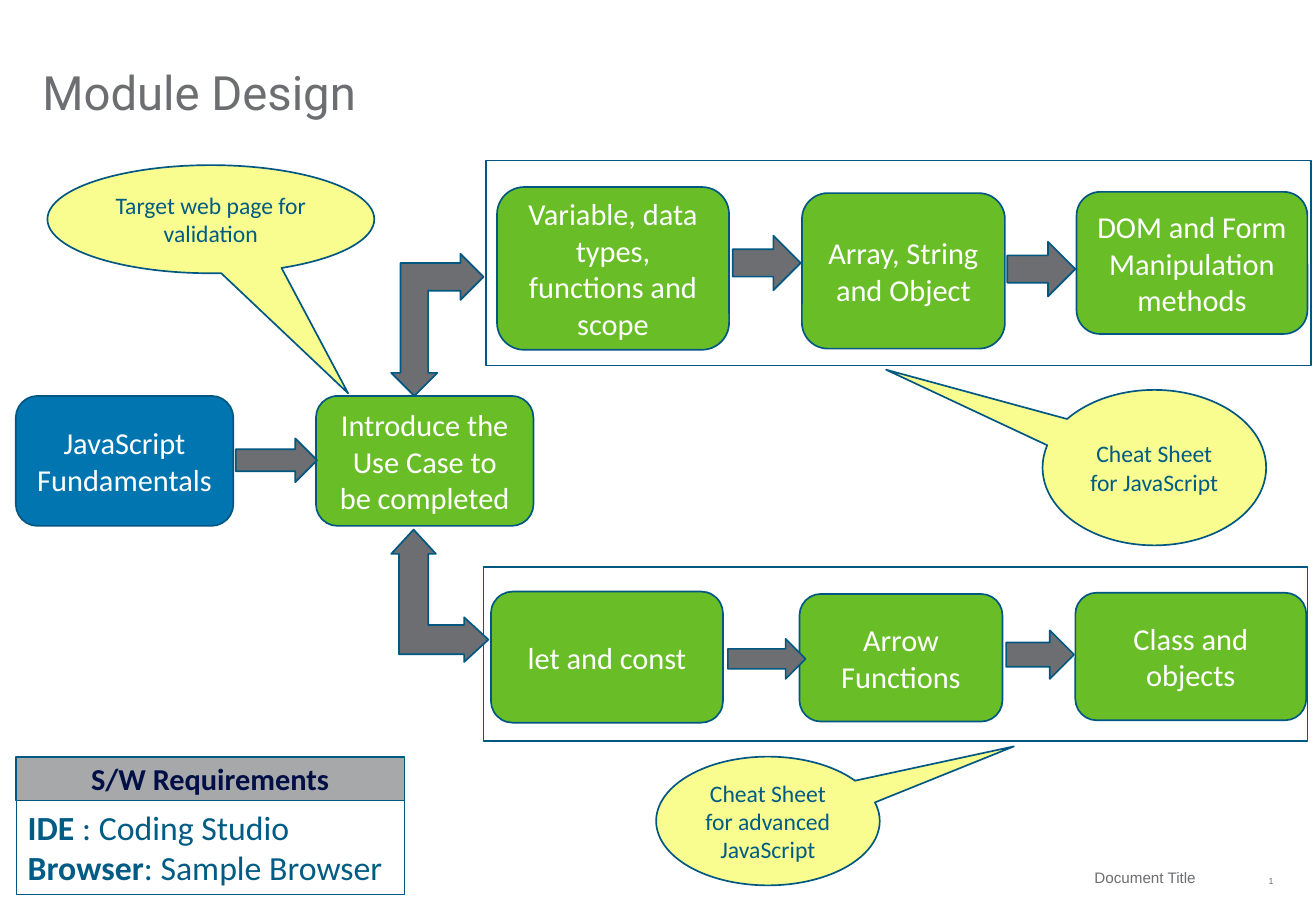
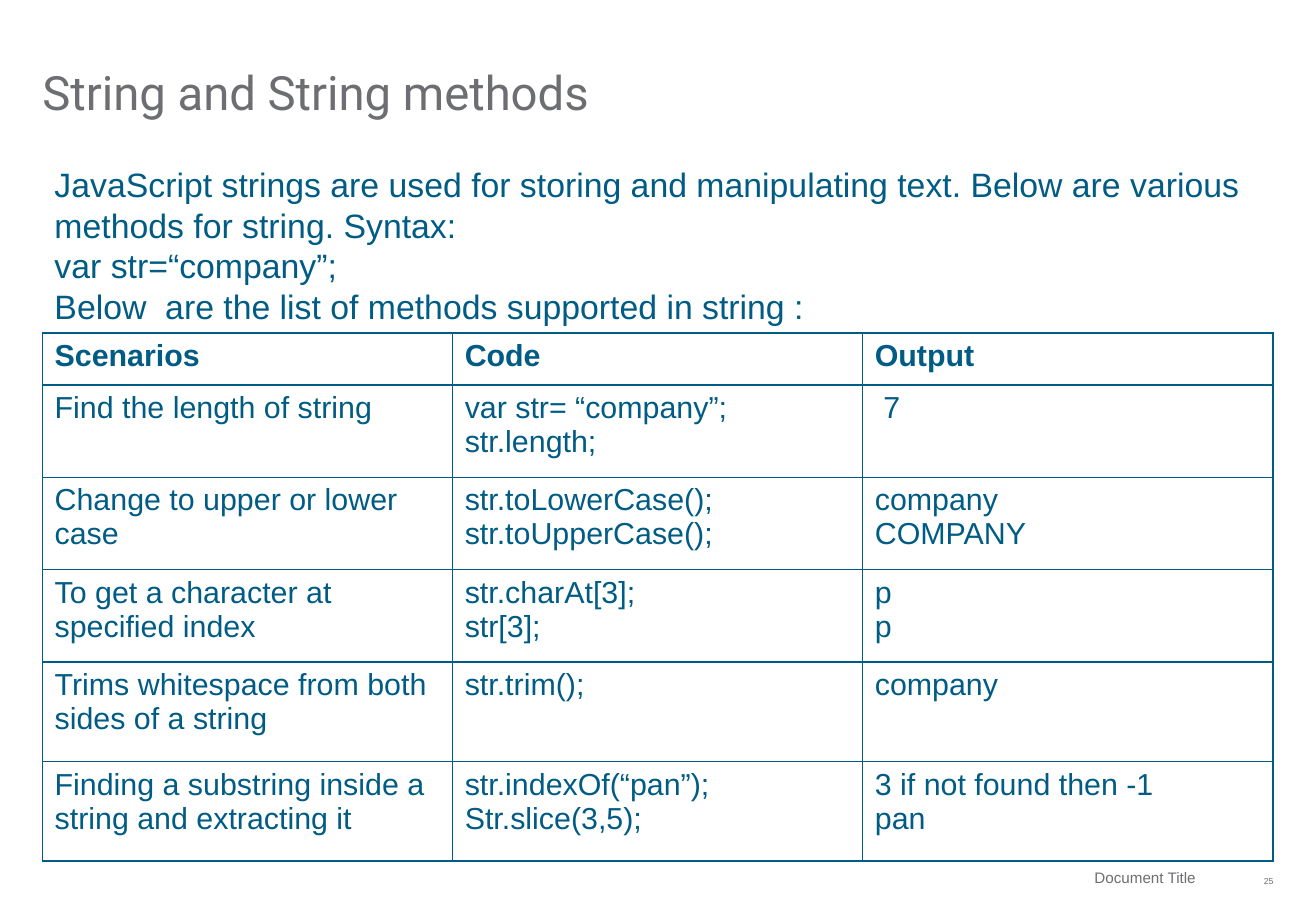
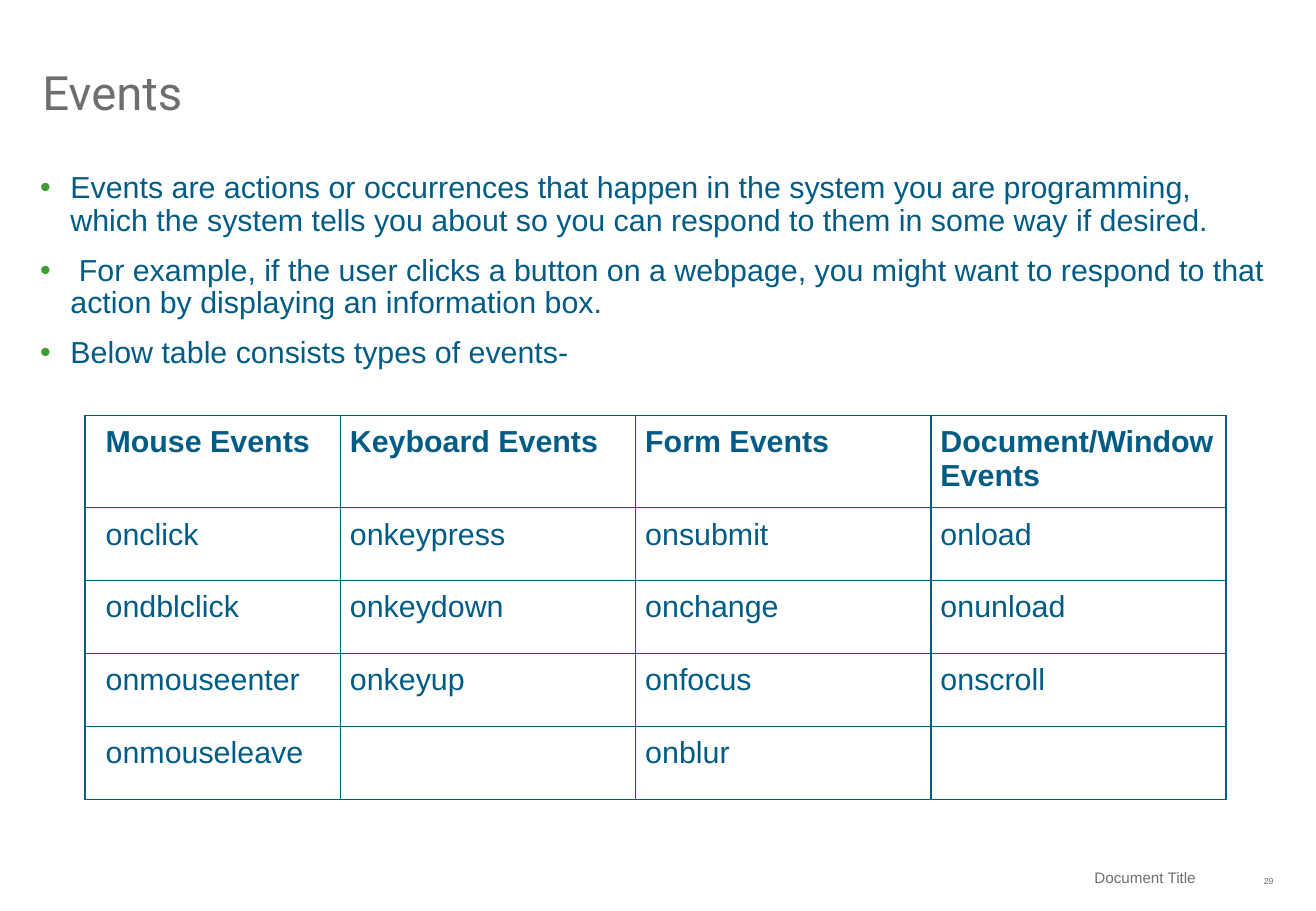
import pptx
import pptx.dml.color
import pptx.enum.shapes
import pptx.enum.text
import pptx.oxml
import pptx.oxml.ns
import pptx.util

Inches = pptx.util.Inches
Pt = pptx.util.Pt
RGB = pptx.dml.color.RGBColor
SHAPE = pptx.enum.shapes.MSO_SHAPE
ALIGN = pptx.enum.text.PP_ALIGN
ANCHOR = pptx.enum.text.MSO_ANCHOR

WHITE = RGB(0xFF, 0xFF, 0xFF)
GREY = RGB(0x6D, 0x6E, 0x71)
SILVER = RGB(0xA7, 0xA8, 0xAA)
TEAL = RGB(0x00, 0x5C, 0x84)
OUTLINE = RGB(0x00, 0x57, 0x82)
NAVY = RGB(0x00, 0x0F, 0x46)
BLUE = RGB(0x00, 0x75, 0xB0)
GREEN = RGB(0x69, 0xBE, 0x28)
YELLOW = RGB(0xF9, 0xFC, 0x8E)
BULLET = "3F9C35"

FONTS = {
    "title": ({"name": "Roboto", "size": Pt(28), "bold": False}, GREY),
    "footer": ({"name": "Arial", "size": Pt(9), "bold": False}, GREY),
    "intro": ({"name": "Arial", "size": Pt(20), "bold": False}, TEAL),
    "body": ({"name": "Arial", "size": Pt(18), "bold": False}, TEAL),
    "heading": ({"name": "Arial", "size": Pt(18), "bold": True}, TEAL),
    "step": ({"name": "Calibri", "size": Pt(18), "bold": False}, WHITE),
    "callout": ({"name": "Calibri", "size": Pt(14), "bold": False}, TEAL),
    "software": ({"name": "Calibri", "size": Pt(20), "bold": False}, TEAL),
    "software heading": ({"name": "Calibri", "size": Pt(18), "bold": True}, NAVY),
}
PLAIN = {"margin_left": 0, "margin_right": 0, "margin_top": 0, "margin_bottom": 0}
CENTRED = {"alignment": ALIGN.CENTER}


def write(frame, paragraphs, style, frame_format={}, paragraph_format={}):
    values, color = FONTS[style]
    for key, value in {"word_wrap": True, **frame_format}.items():
        setattr(frame, key, value)
    for index, pieces in enumerate(paragraphs):
        paragraph = frame.paragraphs[0] if index == 0 else frame.add_paragraph()
        for key, value in {"alignment": ALIGN.LEFT, **paragraph_format}.items():
            setattr(paragraph, key, value)
        if isinstance(pieces, str):
            pieces = [(pieces, values["bold"])]
        for text, bold in pieces:
            run = paragraph.add_run()
            run.text = text
            for key, value in {**values, "bold": bold}.items():
                setattr(run.font, key, value)
            run.font.color.rgb = color


def draw(slide, kind, at, fill=None, adjust=(), width=1):
    shape = slide.shapes.add_shape(kind, *map(Inches, at))
    shape.shadow.inherit = False
    if fill is None:
        shape.fill.background()
    else:
        shape.fill.solid()
        shape.fill.fore_color.rgb = fill
    shape.line.color.rgb = OUTLINE
    shape.line.width = Pt(width)
    for index, value in enumerate(adjust):
        shape.adjustments[index] = value
    return shape


deck = pptx.Presentation()
deck.slide_width = Inches(10.83)
deck.slide_height = Inches(7.5)

slides = []
for title, number in [("Module Design", "1"), ("String and String methods", "25"), ("Events", "29")]:
    slide = deck.slides.add_slide(deck.slide_layouts[6])
    slides.append(slide)
    page = slide.shapes.add_textbox(Inches(10.09), Inches(7.05), Inches(0.39), Inches(0.33))
    write(page.text_frame, [number], "footer", {**PLAIN, "vertical_anchor": ANCHOR.MIDDLE},
          {"alignment": ALIGN.RIGHT})
    for properties in page.element.iter(pptx.oxml.ns.qn("a:rPr")):
        properties.set("baseline", "-25000")
    footer = slide.shapes.add_textbox(Inches(6.19), Inches(7.08), Inches(3.8), Inches(0.28))
    write(footer.text_frame, ["Document Title"], "footer",
          {**PLAIN, "margin_right": Inches(0.15), "vertical_anchor": ANCHOR.MIDDLE},
          {"alignment": ALIGN.RIGHT})
    heading = slide.shapes.add_textbox(Inches(0.35), Inches(0.22), Inches(10.13), Inches(0.77))
    write(heading.text_frame, [title], "title", {**PLAIN, "vertical_anchor": ANCHOR.BOTTOM},
          {"line_spacing": 0.9})

design, strings, events = slides

for at in [(3.98, 4.67, 6.78, 1.43), (4, 1.32, 6.79, 1.69)]:
    draw(design, SHAPE.RECTANGLE, at, WHITE)

software = draw(design, SHAPE.RECTANGLE, (0.13, 6.59, 3.2, 0.77), width=0.25)
write(software.text_frame, [
    [("IDE", True), (" : Coding Studio", False)],
    [("Browser", True), (": Sample Browser", False)],
], "software", {"vertical_anchor": ANCHOR.TOP})
software_heading = draw(design, SHAPE.RECTANGLE, (0.13, 6.23, 3.2, 0.36), SILVER)
write(software_heading.text_frame, ["S/W Requirements"], "software heading",
      {"vertical_anchor": ANCHOR.MIDDLE}, CENTRED)

for text, at, fill in [
    ("JavaScript Fundamentals", (0.13, 3.26, 1.79, 1.07), BLUE),
    ("Introduce the Use Case to be completed", (2.6, 3.26, 1.79, 1.07), GREEN),
    ("Variable, data types, functions and scope", (4.09, 1.54, 1.91, 1.34), GREEN),
    ("Array, String and Object", (6.6, 1.59, 1.67, 1.28), GREEN),
    ("DOM and Form Manipulation methods", (8.86, 1.58, 1.9, 1.17), GREEN),
    ("let and const", (4.04, 4.87, 1.91, 1.08), GREEN),
    ("Arrow Functions", (6.58, 4.89, 1.67, 1.05), GREEN),
    ("Class and objects", (8.85, 4.88, 1.9, 1.05), GREEN),
]:
    step = draw(design, SHAPE.ROUNDED_RECTANGLE, at, fill)
    write(step.text_frame, [text], "step", {"vertical_anchor": ANCHOR.MIDDLE}, CENTRED)

for at in [
    (1.94, 3.61, 0.67, 0.36),
    (6.03, 1.94, 0.56, 0.45),
    (8.29, 1.99, 0.56, 0.45),
    (5.99, 5.26, 0.64, 0.33),
    (8.28, 5.19, 0.56, 0.4),
]:
    draw(design, SHAPE.RIGHT_ARROW, at, GREY)

for at, adjust, flips in [
    ((3.22, 2.09, 0.76, 1.17), (0.3, 0.25, 0.25), ("flipH", "flipV")),
    ((3.22, 4.36, 0.8, 1.09), (0.3, 0.23, 0.25), ("flipH",)),
]:
    branch = draw(design, SHAPE.LEFT_UP_ARROW, at, GREY, adjust)
    for flip in flips:
        branch.element.spPr.find(pptx.oxml.ns.qn("a:xfrm")).set(flip, "1")

for text, at, tip in [
    ("Target web page for validation", (0.39, 1.36, 2.69, 0.89), (0.42, 1.61)),
    ("Cheat Sheet for JavaScript", (8.58, 3.21, 1.84, 1.28), (-1.2, -0.63)),
    ("Cheat Sheet for advanced JavaScript", (5.4, 6.23, 1.84, 1.06), (1.1, -0.58)),
]:
    callout = draw(design, SHAPE.OVAL_CALLOUT, at, YELLOW, tip)
    write(callout.text_frame, [text], "callout", {"vertical_anchor": ANCHOR.MIDDLE}, CENTRED)

intro = strings.shapes.add_textbox(Inches(0.35), Inches(1.3), Inches(10.41), Inches(1.45))
write(intro.text_frame, [
    "JavaScript strings are used for storing and manipulating text. Below are various methods for string. Syntax:",
    "var str=“company”;",
    "Below  are the list of methods supported in string :",
], "intro")

points = events.shapes.add_textbox(Inches(0.33), Inches(1.42), Inches(10.13), Inches(1.83))
write(points.text_frame, [
    "Events are actions or occurrences that happen in the system you are programming, which the system tells you about so you can respond to them in some way if desired.",
    " For example, if the user clicks a button on a webpage, you might want to respond to that action by displaying an information box.",
    "Below table consists types of events-",
], "body", PLAIN, {"line_spacing": 0.9, "space_before": Pt(10)})
namespace = pptx.oxml.ns.nsdecls("a")
for properties in points.element.iter(pptx.oxml.ns.qn("a:pPr")):
    properties.set("marL", str(Inches(0.25)))
    properties.set("indent", str(-Inches(0.25)))
    for bullet in [
        f'<a:buClr {namespace}><a:srgbClr val="{BULLET}"/></a:buClr>',
        f'<a:buFont {namespace} typeface="Arial"/>',
        f'<a:buChar {namespace} char="•"/>',
    ]:
        properties.append(pptx.oxml.parse_xml(bullet))

methods = [
    ["Scenarios", "Code", "Output"],
    ["Find the length of string", "var str= “company”;\nstr.length;", " 7"],
    ["Change to upper or lower case", "str.toLowerCase();\nstr.toUpperCase();", "company\nCOMPANY"],
    ["To get a character at specified index", "str.charAt[3];\nstr[3];", "p\np"],
    ["Trims whitespace from both sides of a string", "str.trim();", "company"],
    ["Finding a substring inside a string and extracting it", "str.indexOf(“pan”);\nStr.slice(3,5);",
     "3 if not found then -1\npan"],
]
event_types = [
    ["Mouse Events", "Keyboard Events", "Form Events", "Document/Window Events"],
    ["onclick", "onkeypress", "onsubmit", "onload"],
    ["ondblclick", "onkeydown", "onchange", "onunload"],
    ["onmouseenter", "onkeyup", "onfocus", "onscroll"],
    ["onmouseleave", "", "onblur", ""],
]
for slide, left, top, widths, heights, rows, first_margin, margin_x, margin_y in [
    (strings, 0.35, 2.74, [3.375] * 3, [0.43] + [0.76] * 3 + [0.82] * 2, methods, 0.1, 0.1, 0.05),
    (events, 0.7, 3.42, [2.1] + [2.43] * 3, [0.72] + [0.6] * 4, event_types, 0.17, 0.08, 0.08),
]:
    table = slide.shapes.add_table(len(rows), len(widths), Inches(left), Inches(top),
                                   Inches(sum(widths)), Inches(sum(heights))).table
    table.first_row = False
    table.horz_banding = False
    for column, width in zip(table.columns, widths):
        column.width = Inches(width)
    for row, height in zip(table.rows, heights):
        row.height = Inches(height)
    for r, texts in enumerate(rows):
        for c, text in enumerate(texts):
            cell = table.cell(r, c)
            margins = {
                "margin_left": Inches(margin_x if c else first_margin),
                "margin_right": Inches(margin_x),
                "margin_top": Inches(margin_y),
                "margin_bottom": Inches(margin_y),
            }
            for key, value in margins.items():
                setattr(cell, key, value)
            properties = cell._tc.get_or_add_tcPr()
            for side in ("lnL", "lnR", "lnT", "lnB"):
                properties.append(pptx.oxml.parse_xml(
                    f'<a:{side} {namespace} w="{Pt(1)}"><a:solidFill><a:srgbClr val="{TEAL}"/>'
                    f'</a:solidFill></a:{side}>'))
            cell.fill.solid()
            cell.fill.fore_color.rgb = WHITE
            if text:
                write(cell.text_frame, text.split("\n"), "body" if r else "heading")

deck.save("out.pptx")
